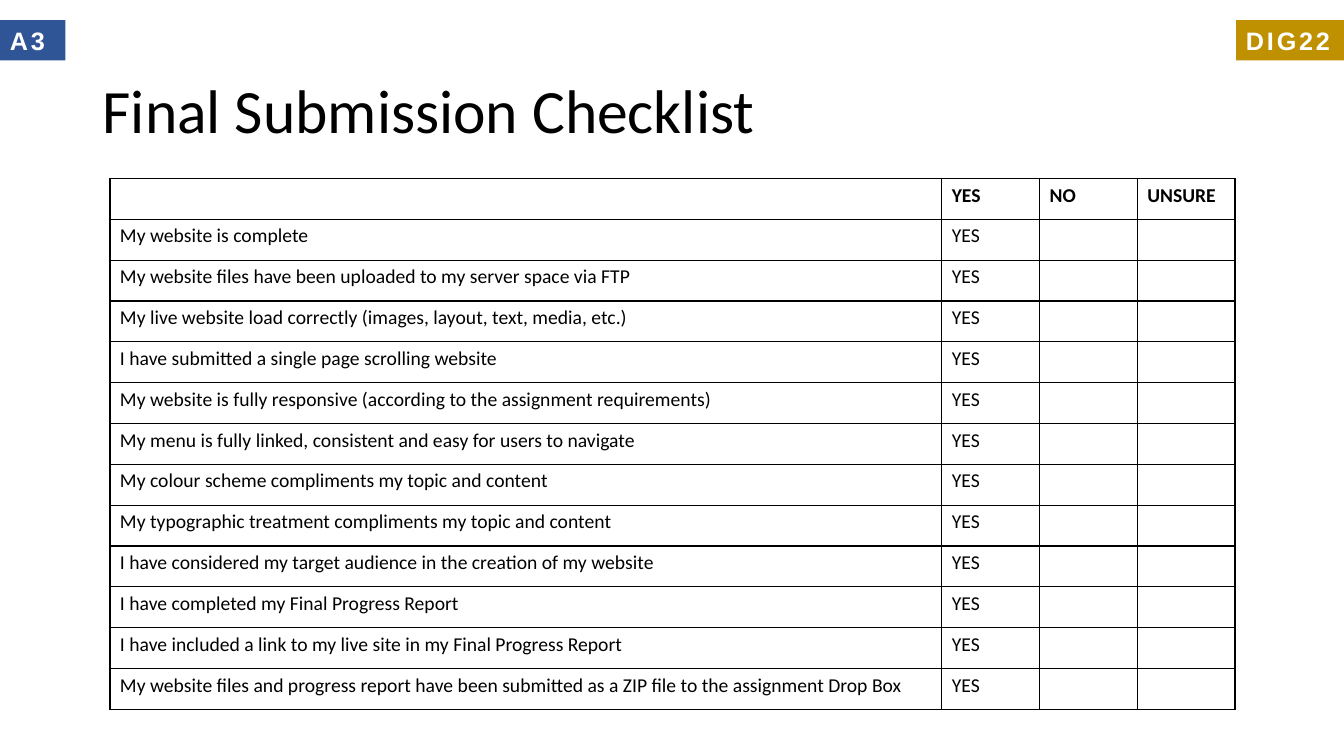
from lxml import etree
from pptx import Presentation
from pptx.dml.color import RGBColor
from pptx.enum.shapes import MSO_SHAPE
from pptx.enum.text import MSO_ANCHOR, PP_ALIGN
from pptx.oxml.ns import qn
from pptx.util import Inches, Pt

RECTANGLE = MSO_SHAPE.RECTANGLE
MIDDLE = MSO_ANCHOR.MIDDLE
LEFT = PP_ALIGN.LEFT

BLACK = RGBColor(0x00, 0x00, 0x00)
WHITE = RGBColor(0xFF, 0xFF, 0xFF)
BLUE = RGBColor(0x2F, 0x55, 0x97)
GOLD = RGBColor(0xBF, 0x90, 0x00)

SLIDE_WIDTH, SLIDE_HEIGHT = Inches(13.33), Inches(7.5)
GRID_COLUMNS, GRID_ROWS = 133.3, 75

TITLE_FORMAT = {"name": "Calibri", "size": Pt(44)}
BADGE_FORMAT = {"name": "Arial", "size": Pt(18), "bold": True}
HEADER_FORMAT = {"name": "Calibri", "size": Pt(14), "bold": True}
BODY_FORMAT = {**HEADER_FORMAT, "bold": False}

ANSWERS = ["YES", "NO", "UNSURE"]
CHECKS = [
    "My website is complete",
    "My website files have been uploaded to my server space via FTP",
    "My live website load correctly (images, layout, text, media, etc.)",
    "I have submitted a single page scrolling website",
    "My website is fully responsive (according to the assignment requirements)",
    "My menu is fully linked, consistent and easy for users to navigate",
    "My colour scheme compliments my topic and content",
    "My typographic treatment compliments my topic and content",
    "I have considered my target audience in the creation of my website",
    "I have completed my Final Progress Report",
    "I have included a link to my live site in my Final Progress Report",
    "My website files and progress report have been submitted as a ZIP file "
    "to the assignment Drop Box",
]


class ChecklistPage:
    """Draws styled elements on one page, placed in grid columns and rows."""

    def __init__(self, page):
        self.page = page
        self.line_color = BLACK
        self.line_width = Pt(1)

    def across(self, columns):
        return round(SLIDE_WIDTH * columns / GRID_COLUMNS)

    def down(self, rows):
        return round(SLIDE_HEIGHT * rows / GRID_ROWS)

    def place(self, left, top, width, height):
        return self.across(left), self.down(top), self.across(width), self.down(height)

    def add_text(self, frame, text, formats, color):
        para = frame.paragraphs[0]
        para.alignment = LEFT
        span = para.add_run()
        span.text = text
        for name, value in formats.items():
            setattr(span.font, name, value)
        span.font.color.rgb = color
        return span

    def title(self, text, *area):
        box = self.page.shapes.add_textbox(*self.place(*area))
        frame = box.text_frame
        frame.word_wrap = True
        frame.vertical_anchor = MIDDLE
        self.add_text(frame, text, TITLE_FORMAT, BLACK)
        frame.paragraphs[0].line_spacing = 0.9

    def badge(self, text, color, *area):
        box = self.page.shapes.add_shape(RECTANGLE, *self.place(*area))
        box.shadow.inherit = False
        box.fill.solid()
        box.fill.fore_color.rgb = color
        box.line.fill.background()
        frame = box.text_frame
        frame.word_wrap = True
        frame.margin_right = 0
        frame.vertical_anchor = MIDDLE
        span = self.add_text(frame, text, BADGE_FORMAT, WHITE)
        span._r.get_or_add_rPr().set("spc", "200")

    def border(self, cell):
        properties = cell._tc.get_or_add_tcPr()
        for position, side in enumerate(("lnL", "lnR", "lnT", "lnB")):
            line = etree.Element(qn(f"a:{side}"), w=str(self.line_width))
            fill = etree.SubElement(line, qn("a:solidFill"))
            etree.SubElement(fill, qn("a:srgbClr"), val=str(self.line_color))
            properties.insert(position, line)

    def table(self, rows, column_widths, left, top, height):
        area = self.place(left, top, sum(column_widths), height)
        table = self.page.shapes.add_table(len(rows), len(column_widths), *area).table
        for column, width in zip(table.columns, column_widths):
            column.width = self.across(width)
        for row_index, row in enumerate(rows):
            table.rows[row_index].height = self.down(height / len(rows))
            formats = BODY_FORMAT if row_index else HEADER_FORMAT
            for column_index, text in enumerate(row):
                cell = table.cell(row_index, column_index)
                cell.fill.solid()
                cell.fill.fore_color.rgb = WHITE
                self.border(cell)
                if text:
                    self.add_text(cell.text_frame, text, formats, BLACK)


def main():
    deck = Presentation()
    deck.slide_width, deck.slide_height = SLIDE_WIDTH, SLIDE_HEIGHT
    page = ChecklistPage(deck.slides.add_slide(deck.slide_layouts[6]))
    page.title("Final Submission Checklist", 9.2, 4, 115, 14.5)
    page.badge("DIG22", GOLD, 122.6, 2, 10.7, 4)
    page.badge("A3", BLUE, 0, 2, 6.5, 4)
    rows = [["", *ANSWERS]] + [[check, "YES", "", ""] for check in CHECKS]
    page.table(rows, [82.5] + [9.7] * len(ANSWERS), 10.9, 17.7, 52.7)
    deck.save("out.pptx")


if __name__ == "__main__":
    main()
